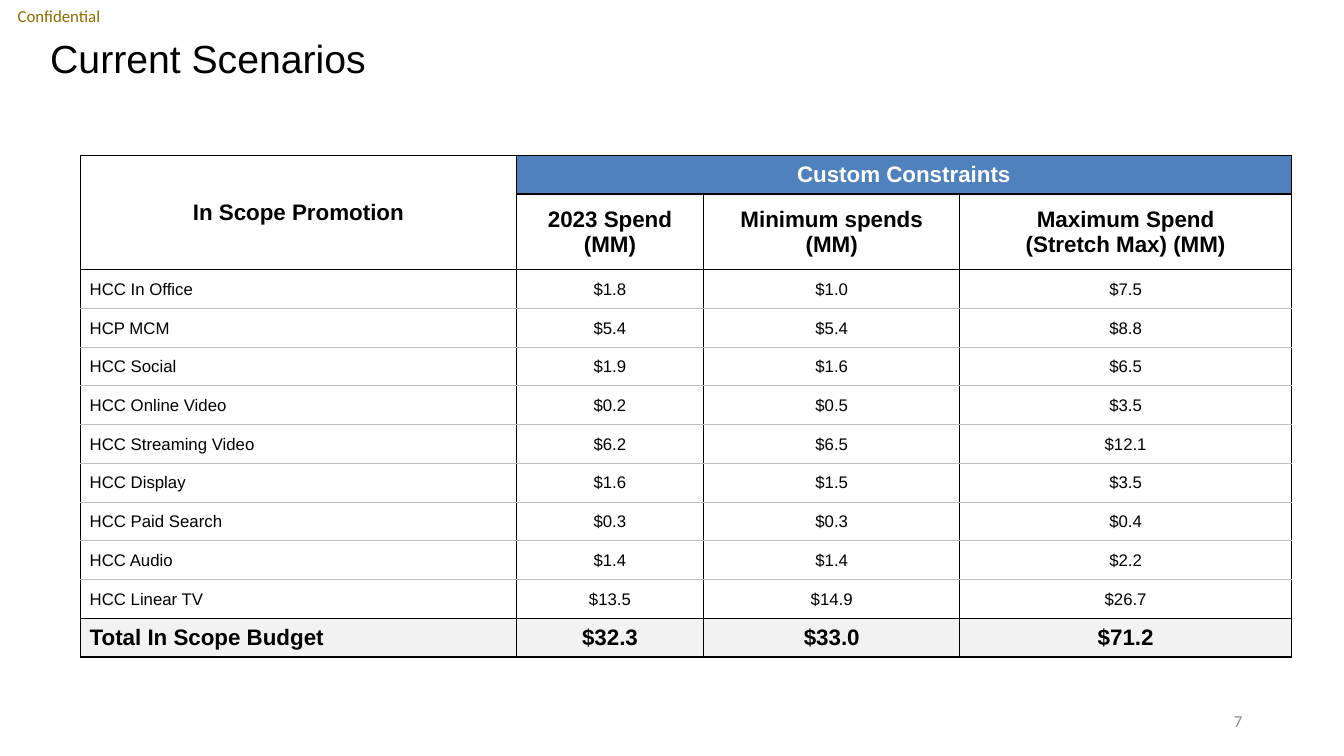
from dataclasses import dataclass

from lxml import etree
from pptx import Presentation, util as u
from pptx.dml.color import RGBColor
from pptx.enum import text
from pptx.oxml import ns

BLACK, GREY, WHITE = "000000", "BFBFBF", "FFFFFF"
BLUE, PALE = "4F81BD", "F2F2F2"
LEFT, CENTER, RIGHT = text.PP_ALIGN.LEFT, text.PP_ALIGN.CENTER, text.PP_ALIGN.RIGHT

COLUMN_WIDTHS = [4.32, 1.86, 2.54, 3.29]
TABLE_HEIGHT, HEADING_HEIGHT = 4.98, 0.75
HEADINGS = [
    ["In Scope Promotion", "Custom Constraints", "", ""],
    ["", "2023 Spend\n(MM)", "Minimum spends\n(MM)", "Maximum Spend\v(Stretch Max) (MM)"],
]
SPENDS = [
    ["HCC In Office", "$1.8", "$1.0", "$7.5"],
    ["HCP MCM", "$5.4", "$5.4", "$8.8"],
    ["HCC Social", "$1.9", "$1.6", "$6.5"],
    ["HCC Online Video", "$0.2", "$0.5", "$3.5"],
    ["HCC Streaming Video", "$6.2", "$6.5", "$12.1"],
    ["HCC Display", "$1.6", "$1.5", "$3.5"],
    ["HCC Paid Search", "$0.3", "$0.3", "$0.4"],
    ["HCC Audio", "$1.4", "$1.4", "$2.2"],
    ["HCC Linear TV", "$13.5", "$14.9", "$26.7"],
]
TOTAL = ["Total In Scope Budget", "$32.3", "$33.0", "$71.2"]


@dataclass
class Label:
    words: str
    box: tuple[float, float, float, float]
    size: float
    font: str
    color: str
    align: text.PP_ALIGN
    inset: float = 0.1
    spacing: float = 1.0


@dataclass
class CellStyle:
    size: float = 16
    bold: bool = True
    color: str = BLACK
    fill: str | None = None
    top: str = BLACK
    bottom: str = BLACK


LABELS = [
    Label("Confidential", (0, 0, 1.17, 0.32), 12, "Calibri", "8E6A00", CENTER, inset=0),
    Label("Current Scenarios", (0.4, 0.4, 12, 0.4), 28, "Arial", BLACK, LEFT, spacing=0.9),
    Label("7", (9.42, 6.95, 3, 0.4), 12, "Calibri", "8C8C8C", RIGHT),
]


def rgb(color: str) -> RGBColor:
    return RGBColor.from_string(color)


def style_paragraph(p, font: str, size: float, color: str, align, bold: bool = False) -> None:
    p.alignment = align
    p.font.name, p.font.size, p.font.bold = font, u.Pt(size), bold
    p.font.color.rgb = rgb(color)


def add_label(s, label: Label) -> None:
    tf = s.shapes.add_textbox(*map(u.Inches, label.box)).text_frame
    tf.word_wrap = True
    tf.vertical_anchor = text.MSO_ANCHOR.MIDDLE
    tf.margin_left = tf.margin_right = u.Inches(label.inset)
    tf.margin_top = tf.margin_bottom = u.Inches(label.inset / 2)
    p = tf.paragraphs[0]
    p.text, p.line_spacing = label.words, label.spacing
    style_paragraph(p, label.font, label.size, label.color, label.align)


def add_border(cell, side: str, color: str) -> None:
    width = u.Pt(1 if color == BLACK else 0.5)
    tc_pr = cell._tc.get_or_add_tcPr()
    ln = etree.SubElement(tc_pr, ns.qn(f"a:ln{side}"), w=str(width))
    fill = etree.SubElement(ln, ns.qn("a:solidFill"))
    etree.SubElement(fill, ns.qn("a:srgbClr"), val=color)


def fill_cell(cell, words: str, align, style: CellStyle) -> None:
    cell.vertical_anchor = text.MSO_ANCHOR.MIDDLE
    cell.margin_left = u.Inches(0.09 if align == LEFT else 0.01)
    cell.margin_right = cell.margin_top = u.Inches(0.01)
    cell.margin_bottom = 0
    for side, color in zip("LRTB", (BLACK, BLACK, style.top, style.bottom)):
        add_border(cell, side, color)
    if style.fill:
        cell.fill.solid()
        cell.fill.fore_color.rgb = rgb(style.fill)
    else:
        cell.fill.background()
    cell.text_frame.text = words
    for p in cell.text_frame.paragraphs:
        style_paragraph(p, "Arial", style.size, style.color, align, style.bold)


def cell_style(row: int, col: int) -> CellStyle:
    first, last = len(HEADINGS), len(HEADINGS) + len(SPENDS) - 1
    if row > last:
        return CellStyle(fill=PALE)
    if row >= first:
        return CellStyle(12, False, top=BLACK if row == first else GREY,
                         bottom=BLACK if row == last else GREY)
    return CellStyle(color=WHITE, fill=BLUE) if row == 0 and col > 0 else CellStyle()


def add_spend_table(s) -> None:
    rows = [*HEADINGS, *SPENDS, TOTAL]
    table = s.shapes.add_table(len(rows), len(COLUMN_WIDTHS), u.Inches(0.8), u.Inches(1.54),
                               u.Inches(sum(COLUMN_WIDTHS)), u.Inches(TABLE_HEIGHT)).table
    table.first_row = table.horz_banding = False
    for column, width in zip(table.columns, COLUMN_WIDTHS):
        column.width = u.Inches(width)
    row_height = (TABLE_HEIGHT - HEADING_HEIGHT) / (len(rows) - 1)
    for i, row in enumerate(rows):
        table.rows[i].height = u.Inches(HEADING_HEIGHT if i == 1 else row_height)
        for j, words in enumerate(row):
            align = LEFT if j == 0 and i >= len(HEADINGS) else CENTER
            fill_cell(table.cell(i, j), words, align, cell_style(i, j))
    table.cell(0, 0).merge(table.cell(1, 0))
    table.cell(0, 1).merge(table.cell(0, 3))


def main() -> None:
    prs = Presentation()
    prs.slide_width, prs.slide_height = u.Inches(13.33), u.Inches(7.5)
    s = prs.slides.add_slide(prs.slide_layouts[6])
    for label in LABELS:
        add_label(s, label)
    add_spend_table(s)
    prs.save("out.pptx")


if __name__ == "__main__":
    main()
